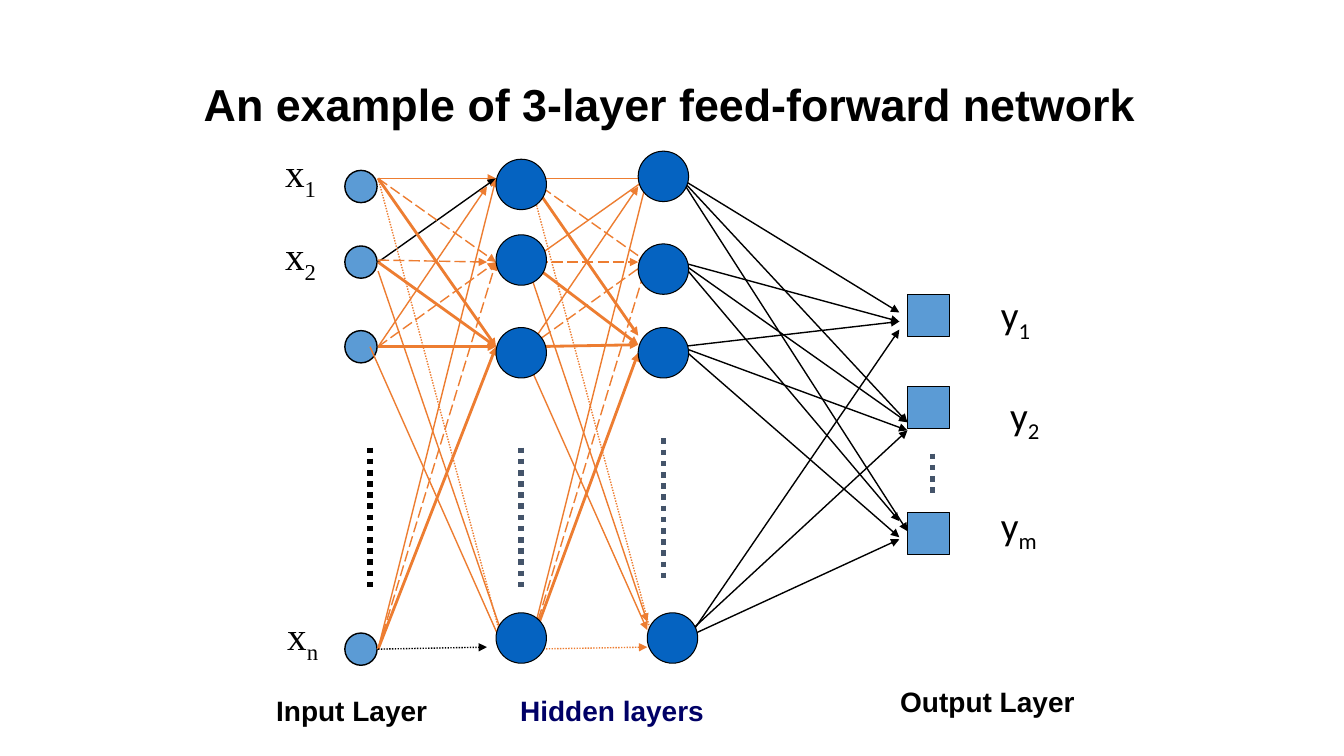
from pptx import Presentation
from pptx import util as u
from pptx.dml.color import RGBColor
from pptx.enum import dml, shapes, text
from pptx.oxml import ns, xmlchemy

BLACK, ORANGE, SLATE, NAVY = "000000", "ED7D31", "44546A", "000066"
LIGHT, DEEP = "5B9BD5", "0563C1"
DOT, DASH = dml.MSO_LINE.ROUND_DOT, dml.MSO_LINE.LONG_DASH
OVAL, RECT = shapes.MSO_SHAPE.OVAL, shapes.MSO_SHAPE.RECTANGLE

# Links, one row per target node: x1, y1, x2, y2
FIRST = [
    [(3.75, 1.77, 4.92, 1.77), (3.75, 2.6, 4.92, 1.77), (3.75, 3.44, 4.83, 1.85), (3.75, 6.44, 4.92, 1.77)],
    [(3.75, 1.77, 4.92, 2.6), (3.75, 2.58, 4.83, 2.6), (3.75, 3.44, 4.92, 2.6), (3.75, 6.44, 4.92, 2.6)],
    [(3.75, 1.77, 4.92, 3.44), (3.75, 2.6, 4.92, 3.44), (3.75, 3.44, 4.92, 3.44), (3.75, 6.44, 4.92, 3.44)],
    [(3.75, 1.77, 5, 6.44), (3.75, 2.69, 5, 6.35), (3.67, 3.44, 5, 6.44), (3.75, 6.44, 4.83, 6.42)],
]
SECOND = [
    [(5.25, 1.77, 6.42, 1.77), (5.25, 2.6, 6.42, 1.77), (5.25, 3.44, 6.33, 1.85), (5.25, 6.44, 6.42, 1.77)],
    [(5.25, 1.77, 6.42, 2.6), (5.17, 2.6, 6.33, 2.6), (5.25, 3.44, 6.42, 2.6), (5.25, 6.44, 6.42, 2.6)],
    [(5.25, 1.77, 6.33, 3.33), (5.25, 2.6, 6.33, 3.42), (5.25, 3.44, 6.33, 3.42), (5.25, 6.44, 6.33, 3.5)],
    [(5.25, 1.77, 6.5, 6.44), (5.25, 2.69, 6.42, 6.17), (5.17, 3.44, 6.42, 6.25), (5.25, 6.44, 6.42, 6.42)],
]
THIRD = [
    [(6.75, 1.77, 8.92, 3.1), (6.75, 2.6, 8.92, 3.19), (6.75, 3.44, 8.92, 3.19), (6.75, 6.44, 8.92, 3.27)],
    [(6.75, 1.77, 9, 4.19), (6.75, 2.6, 9, 4.19), (6.75, 3.44, 9, 4.27), (6.75, 6.35, 9, 4.27)],
    [(6.75, 1.77, 9, 5.27), (6.75, 2.6, 8.92, 5.17), (6.75, 3.44, 8.92, 5.33), (6.75, 6.35, 8.92, 5.35)],
]
# Width and dash of each link, by target and source
THIN, LONG, THICK, FINE = (1, None), (1, DASH), (2, None), (1, DOT)
STYLES = [[THIN] * 4, [LONG] * 4, [THICK] * 4, [FINE, THIN, THIN, FINE]]
DARK = [(0, 1), (3, 3)]


def color(code):
    return RGBColor.from_string(code)


def draw_line(slide, ends, code, width, dash=None, arrow=True):
    link = slide.shapes.add_connector(
        shapes.MSO_CONNECTOR.STRAIGHT, *[u.Inches(n) for n in ends])
    link.line.color.rgb = color(code)
    link.line.width = u.Pt(width)
    if dash:
        link.line.dash_style = dash
    if arrow:
        tip = xmlchemy.OxmlElement("a:tailEnd")
        tip.set("type", "triangle")
        link._element.spPr.find(ns.qn("a:ln")).append(tip)
    link._element.spPr.append(xmlchemy.OxmlElement("a:effectLst"))


def draw_nodes(slide, kind, spots, size, fill, width):
    for left, top in spots:
        node = slide.shapes.add_shape(
            kind, u.Inches(left), u.Inches(top), u.Inches(size), u.Inches(size))
        node.shadow.inherit = False
        node.fill.solid()
        node.fill.fore_color.rgb = color(fill)
        node.line.color.rgb = color(BLACK)
        node.line.width = u.Pt(width)


def style(run, face, size, code=BLACK, bold=False):
    run.font.name = face
    run.font.size = u.Pt(size)
    run.font.bold = bold
    run.font.color.rgb = color(code)


def add_box(slide, area, wrap=False):
    frame = slide.shapes.add_textbox(*[u.Inches(n) for n in area]).text_frame
    frame.word_wrap = wrap
    frame.auto_size = text.MSO_AUTO_SIZE.SHAPE_TO_FIT_TEXT
    return frame


def add_symbol(slide, area, base, sub, face):
    para = add_box(slide, area).paragraphs[0]
    for word in (base, sub):
        run = para.add_run()
        run.text = word
        style(run, face, 28)
    run._r.get_or_add_rPr().set("baseline", "-25000")


def add_caption(slide, area, words, code=BLACK, wrap=False):
    frame = add_box(slide, area, wrap)
    frame.text = words
    style(frame.paragraphs[0].runs[0], "Arial", 20, code, True)


def add_title(slide, words):
    title = slide.shapes.title
    title.left, title.top = u.Inches(1.92), u.Inches(0.69)
    title.width, title.height = u.Inches(9.5), u.Inches(0.75)
    frame = title.text_frame
    frame.text = words
    frame.vertical_anchor = text.MSO_ANCHOR.MIDDLE
    para = frame.paragraphs[0]
    para.alignment = text.PP_ALIGN.LEFT
    para.line_spacing = 0.9
    style(para.runs[0], "Arial", 32, BLACK, True)


def main():
    deck = Presentation()
    deck.slide_width, deck.slide_height = u.Inches(13.33), u.Inches(7.5)
    slide = deck.slides.add_slide(deck.slide_layouts[5])
    add_title(slide, "An example of 3-layer feed-forward network")

    # Input nodes
    draw_nodes(slide, OVAL, [(3.42, y) for y in (1.69, 2.44, 3.28, 6.28)], 0.32, LIGHT, 1)

    # Links between layers
    for layer, dark in ((FIRST, DARK), (SECOND, [])):
        for i, row in enumerate(layer):
            for j, ends in enumerate(row):
                code = BLACK if (i, j) in dark else ORANGE
                draw_line(slide, ends, code, *STYLES[i][j])
    for row in THIRD:
        for ends in row:
            draw_line(slide, ends, BLACK, 1)

    # Dotted gaps for the nodes left out
    for x, top, end, code in ((3.67, 4.44, 5.85, BLACK), (5.17, 4.44, 5.85, SLATE),
                              (6.58, 4.35, 5.77, SLATE), (9.25, 4.5, 4.92, SLATE)):
        draw_line(slide, (x, top, x, end), code, 4, DOT, arrow=False)

    # Hidden and output nodes
    hidden = [(4.92, y) for y in (1.58, 2.33, 3.25, 6.08)]
    hidden += [(6.33, 1.5), (6.33, 2.42), (6.33, 3.25), (6.42, 6.08)]
    draw_nodes(slide, OVAL, hidden, 0.5, DEEP, 0.75)
    draw_nodes(slide, RECT, [(9, y) for y in (2.92, 3.83, 5.08)], 0.42, LIGHT, 0.75)

    # Input and output symbols
    for left, top, sub in ((2.73, 1.42, "1"), (2.73, 2.25, "2"), (2.75, 6.02, "n")):
        add_symbol(slide, (left, top, 0.52, 0.56), "x", sub, "Times New Roman")
    for left, top, wide, sub in ((9.83, 2.83, 0.53, "1"), (9.92, 3.83, 0.53, "2"),
                                 (9.83, 4.92, 0.6, "m")):
        add_symbol(slide, (left, top, wide, 0.57), "y", sub, "Calibri")

    # Layer captions
    add_caption(slide, (2.64, 6.83, 1.71, 0.43), "Input Layer")
    add_caption(slide, (5.06, 6.83, 2.04, 0.43), "Hidden layers", NAVY)
    add_caption(slide, (8.83, 6.74, 2, 0.43), "Output Layer", wrap=True)

    deck.save("out.pptx")


if __name__ == "__main__":
    main()
